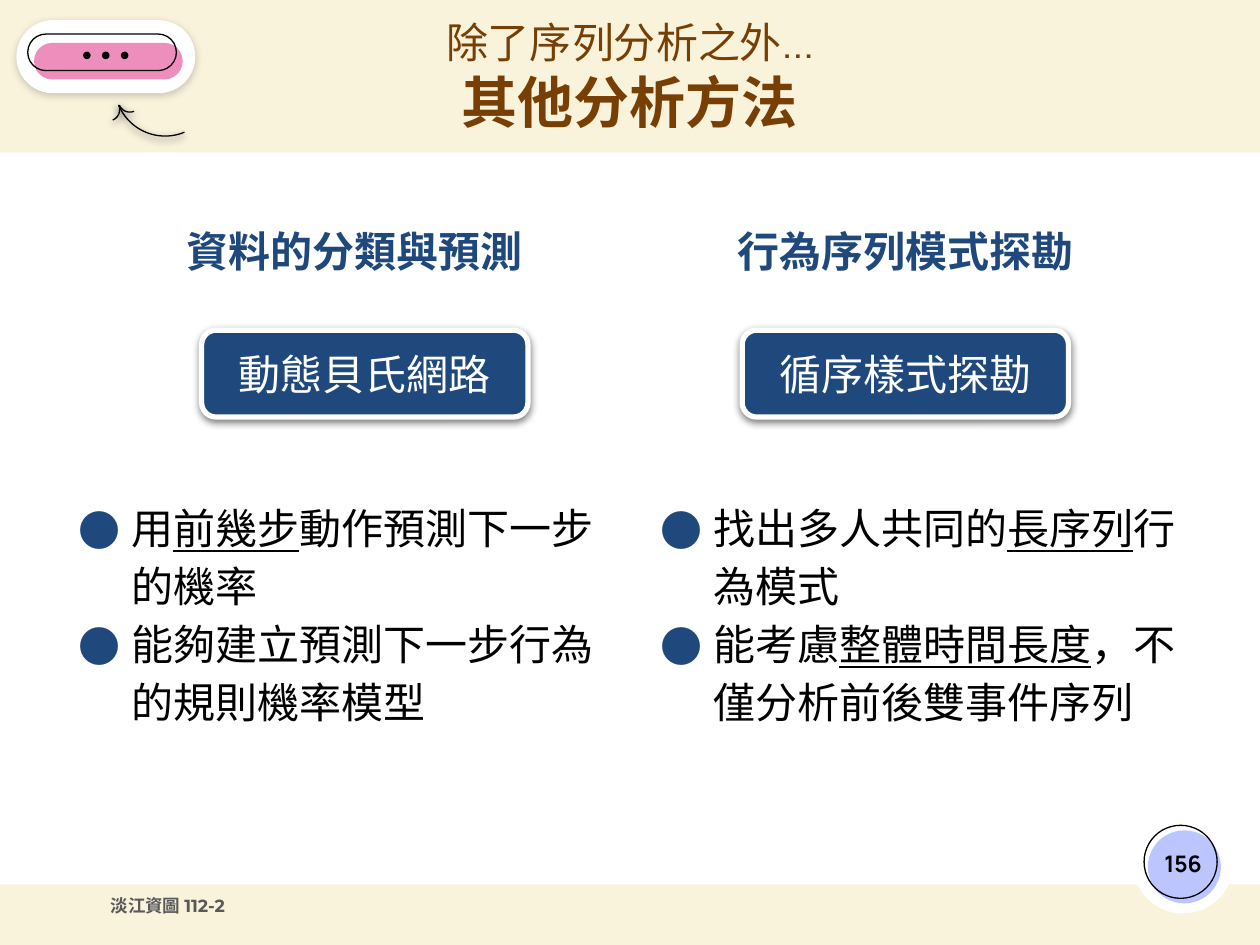
from dataclasses import dataclass

from lxml import etree
from pptx import Presentation
from pptx import util as u
from pptx.dml.color import RGBColor
from pptx.enum import shapes, text
from pptx.oxml.ns import qn

SHAPE = shapes.MSO_SHAPE
ALIGN = text.PP_ALIGN
ANCHOR = text.MSO_ANCHOR


@dataclass(frozen=True)
class Theme:
    cream: str = "F9F3DC"
    white: str = "FFFFFF"
    black: str = "000000"
    navy: str = "1F497D"
    brown: str = "783F04"
    grey: str = "595959"
    pink: str = "ED8EBC"
    lilac: str = "BDC5FF"
    display: str = "Manrope"
    body: str = "Noto Sans CJK TC"
    label: str = "Arial"
    footer: str = "Montserrat"
    title_size: int = 32
    text_size: int = 24
    number_size: int = 13
    footer_size: int = 10


@dataclass(frozen=True)
class Method:
    """One column; in points, text between underscores is underlined."""
    heading: str
    name: str
    points: tuple[str, ...]
    heading_left: float
    button_left: float
    list_left: float


THEME = Theme()
METHODS = (
    Method("資料的分類與預測", "動態貝氏網路",
           ("用_前幾步_動作預測下一步的機率", "能夠建立預測下一步行為的規則機率模型"),
           0.69, 1.6, 0.44),
    Method("行為序列模式探勘", "循序樣式探勘",
           ("找出多人共同的_長序列_行為模式", "能考慮_整體時間長度_，不僅分析前後雙事件序列"),
           5.07, 5.89, 5.06),
)


def place(item, left: float, top: float, width: float, height: float) -> None:
    item.left, item.top = u.Inches(left), u.Inches(top)
    item.width, item.height = u.Inches(width), u.Inches(height)


def add_shadow(shape, opacity: int) -> None:
    """Soft shadow falling straight down; opacity in percent."""
    effects = shape._element.spPr.find(qn("a:effectLst"))
    shadow = etree.SubElement(effects, qn("a:outerShdw"), blurRad=str(u.Pt(4.5)),
                              dist=str(u.Pt(1.5)), dir="5400000", algn="bl", rotWithShape="0")
    color = etree.SubElement(shadow, qn("a:srgbClr"), val=THEME.black)
    etree.SubElement(color, qn("a:alpha"), val=str(opacity * 1000))


def add_figure(parent, kind, box: tuple[float, ...], *, fill: str = "", line: str = "",
               weight: float = 0.75, shadow: int = 0):
    shape = parent.shapes.add_shape(kind, *map(u.Inches, box))
    shape.shadow.inherit = False
    if fill:
        shape.fill.solid()
        shape.fill.fore_color.rgb = RGBColor.from_string(fill)
    else:
        shape.fill.background()
    if line:
        shape.line.color.rgb = RGBColor.from_string(line)
        shape.line.width = u.Pt(weight)
    else:
        shape.line.fill.background()
    if shadow:
        add_shadow(shape, shadow)
    return shape


def add_bullet(para) -> None:
    props = para._p.get_or_add_pPr()
    props.set("marL", str(u.Inches(0.5)))
    props.set("indent", str(u.Inches(-0.42)))
    color = etree.SubElement(props, qn("a:buClr"))
    etree.SubElement(color, qn("a:srgbClr"), val=THEME.navy)
    etree.SubElement(props, qn("a:buFont"), typeface=THEME.body)
    etree.SubElement(props, qn("a:buChar"), char="●")


def write(frame, lines: tuple[str, ...], *, font: str, color: str, sizes: tuple[int, ...],
          bold: tuple[bool, ...] = (False,), align=ALIGN.LEFT, anchor=ANCHOR.TOP,
          spacing: float = 1.0, bullets: bool = False, inset_top: float = 0.1) -> None:
    """Fill a frame; sizes and bold repeat over the lines, underscores toggle underline."""
    frame.word_wrap = True
    frame.auto_size = text.MSO_AUTO_SIZE.NONE
    frame.vertical_anchor = anchor
    frame.margin_left = frame.margin_right = frame.margin_bottom = u.Inches(0.1)
    frame.margin_top = u.Inches(inset_top)
    for index, line in enumerate(lines):
        para = frame.add_paragraph() if index else frame.paragraphs[0]
        para.alignment = align
        para.line_spacing = spacing
        para.space_before = u.Pt(0)
        if bullets:
            add_bullet(para)
        for part, words in enumerate(line.split("_")):
            span = para.add_run()
            span.text = words
            span.font.name = font
            span.font.size = u.Pt(sizes[index % len(sizes)])
            span.font.bold = bold[index % len(bold)]
            span.font.underline = part % 2 == 1
            span.font.color.rgb = RGBColor.from_string(color)


def draw_arrow(page) -> None:
    group = page.shapes.add_group_shape()
    for left, top, size, flipped in ((0.91, 0.28, 0.8, False), (0.94, 0.71, 0.18, False),
                                     (0.77, 0.78, 0.18, True)):
        arc = add_figure(group, SHAPE.ARC, (left, top, size, size), line=THEME.black, shadow=68)
        arc.rotation = 157.5
        if flipped:
            arc._element.spPr.get_or_add_xfrm().set("flipH", "1")


def draw_badge(page) -> None:
    group = page.shapes.add_group_shape()
    for box, look in (((0.13, 0.16, 1.42, 0.58), {"fill": THEME.white, "shadow": 19}),
                      ((0.27, 0.34, 1.18, 0.29), {"fill": THEME.pink}),
                      ((0.22, 0.27, 1.18, 0.29), {"line": THEME.black})):
        pill = add_figure(group, SHAPE.ROUNDED_RECTANGLE, box, **look)
        pill.adjustments[0] = 0.5
    for dot in range(3):
        add_figure(group, SHAPE.OVAL, (0.66 + 0.15 * dot, 0.41, 0.06, 0.06), fill=THEME.black)


def draw_frame(page) -> None:
    page.background.fill.solid()
    page.background.fill.fore_color.rgb = RGBColor.from_string(THEME.cream)
    footer = page.shapes.add_textbox(*map(u.Inches, (0.78, 7, 4.31, 0.37)))
    write(footer.text_frame, ("淡江資圖 112-2",), font=THEME.footer, color=THEME.grey,
          sizes=(THEME.footer_size,), bold=(True,))
    add_figure(page, SHAPE.RECTANGLE, (0, 1.21, 10, 5.81), fill=THEME.white)
    add_figure(page, SHAPE.OVAL, (8.99, 6.45, 0.8, 0.8), fill=THEME.white)
    add_figure(page, SHAPE.OVAL, (9.11, 6.59, 0.58, 0.58), fill=THEME.lilac)
    add_figure(page, SHAPE.OVAL, (9.08, 6.55, 0.58, 0.58), line=THEME.black)
    number = page.shapes.add_textbox(*map(u.Inches, (9.09, 6.57, 0.6, 0.57)))
    write(number.text_frame, ("156",), font=THEME.display, color=THEME.black,
          sizes=(THEME.number_size,), bold=(True,), align=ALIGN.CENTER, anchor=ANCHOR.MIDDLE)


def draw_method(page, method: Method, heading, points) -> None:
    place(heading, method.heading_left, 1.63, 4.24, 0.64)
    write(heading.text_frame, (method.heading,), font=THEME.body, color=THEME.navy,
          sizes=(THEME.text_size,), bold=(True,), align=ALIGN.CENTER, spacing=1.15)
    place(points, method.list_left, 3.83, 4.48, 2.83)
    write(points.text_frame, method.points, font=THEME.body, color=THEME.black,
          sizes=(THEME.text_size,), spacing=1.15, bullets=True)
    button = add_figure(page, SHAPE.ROUNDED_RECTANGLE, (method.button_left, 2.62, 2.59, 0.69),
                        fill=THEME.navy, line=THEME.white, weight=3, shadow=50)
    write(button.text_frame, (method.name,), font=THEME.label, color=THEME.white,
          sizes=(THEME.text_size,), align=ALIGN.CENTER, anchor=ANCHOR.MIDDLE)


def main() -> None:
    deck = Presentation()
    deck.slide_width, deck.slide_height = u.Inches(10), u.Inches(7.5)
    page = deck.slides.add_slide(deck.slide_layouts.get_by_name("Comparison"))
    title, *columns = list(page.placeholders)
    draw_frame(page)
    draw_arrow(page)
    draw_badge(page)
    for holder in (title, *columns):  # bring the text in front of the white panel
        page.shapes._spTree.append(holder._element)
    place(title, 1.55, 0.16, 6.9, 0.98)
    write(title.text_frame, ("除了序列分析之外...", "其他分析方法"), font=THEME.display,
          color=THEME.brown, sizes=(THEME.text_size, THEME.title_size), bold=(False, True),
          align=ALIGN.CENTER, anchor=ANCHOR.MIDDLE, inset_top=0)
    for method, heading, points in zip(METHODS, columns[::2], columns[1::2]):
        draw_method(page, method, heading, points)
    deck.save("out.pptx")


if __name__ == "__main__":
    main()
